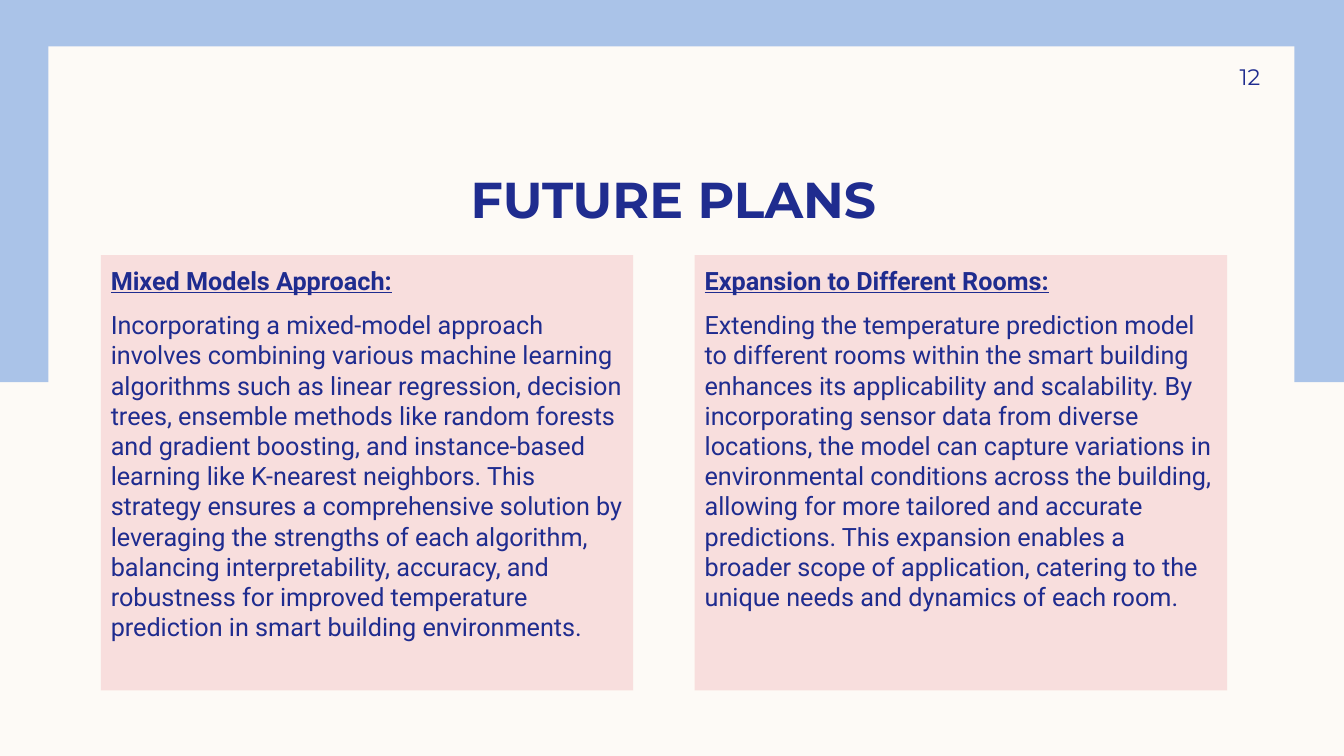
from lxml import etree
from pptx import Presentation
from pptx.dml.color import RGBColor
from pptx.enum.shapes import MSO_SHAPE
from pptx.enum.text import MSO_ANCHOR, PP_ALIGN
from pptx.oxml.ns import qn
from pptx.util import Inches, Pt

# Content
TITLE = "FUTURE PLANS "
PAGE_NUMBER = "12"
PLANS = [
    (
        "Mixed Models Approach:",
        "Incorporating a mixed-model approach involves combining various machine "
        "learning algorithms such as linear regression, decision trees, ensemble "
        "methods like random forests and gradient boosting, and instance-based "
        "learning like K-nearest neighbors. This strategy ensures a comprehensive "
        "solution by leveraging the strengths of each algorithm, balancing "
        "interpretability, accuracy, and robustness for improved temperature "
        "prediction in smart building environments.",
    ),
    (
        "Expansion to Different Rooms:",
        "Extending the temperature prediction model to different rooms within the "
        "smart building enhances its applicability and scalability. By "
        "incorporating sensor data from diverse locations, the model can capture "
        "variations in environmental conditions across the building, allowing for "
        "more tailored and accurate predictions. This expansion enables a broader "
        "scope of application, catering to the unique needs and dynamics of each "
        "room.",
    ),
]

THEME = {
    "paper": RGBColor.from_string("FDFAF6"),
    "band": RGBColor.from_string("AAC3E8"),
    "card": RGBColor.from_string("F5CDCE"),
    "ink": RGBColor.from_string("1F2C8F"),
    "card_opacity": 62,
    "heading_font": "Montserrat",
    "body_font": "Roboto",
    "title_size": Pt(36),
    "number_size": Pt(16),
    "body_size": Pt(18),
    "paragraph_gap": Pt(10),
}

# Layout in inches
SLIDE_WIDTH, SLIDE_HEIGHT = 13.33, 7.5
CARD_LEFT, CARD_TOP = 1, 2.53
CARD_WIDTH, CARD_HEIGHT = 5.28, 4.32
CARD_GAP = 0.61


def add_panel(slide, box, color):
    shape = slide.shapes.add_shape(MSO_SHAPE.RECTANGLE, *map(Inches, box))
    shape.shadow.inherit = False
    shape.fill.solid()
    shape.fill.fore_color.rgb = color
    shape.line.fill.background()
    return shape


def set_frame(shape, insets, anchor):
    frame = shape.text_frame
    frame.word_wrap = True
    frame.vertical_anchor = anchor
    (frame.margin_left, frame.margin_top,
     frame.margin_right, frame.margin_bottom) = map(Inches, insets)
    return frame


def write(paragraph, text, font_name, size, align, bold=False):
    paragraph.text = text
    paragraph.alignment = align
    font = paragraph.font
    font.name, font.size, font.bold = font_name, size, bold
    font.color.rgb = THEME["ink"]


def add_label(slide, box, insets, anchor, text, size, align, bold=False):
    label = slide.shapes.add_textbox(*map(Inches, box))
    frame = set_frame(label, insets, anchor)
    write(frame.paragraphs[0], text, THEME["heading_font"], size, align, bold)


def add_card(slide, left, heading, body):
    card = add_panel(slide, (left, CARD_TOP, CARD_WIDTH, CARD_HEIGHT), THEME["card"])
    color = card.fill._xPr.find(qn("a:solidFill"))[0]
    etree.SubElement(color, qn("a:alpha"), val=str(THEME["card_opacity"] * 1000))
    frame = set_frame(card, (0.1, 0.1, 0.1, 0.1), MSO_ANCHOR.TOP)
    paragraphs = frame.paragraphs[0], frame.add_paragraph()
    for paragraph, text, is_heading in zip(paragraphs, (heading, body), (True, False)):
        write(paragraph, text, THEME["body_font"], THEME["body_size"],
              PP_ALIGN.LEFT, is_heading)
        paragraph.font.underline = is_heading
        paragraph.space_before = THEME["paragraph_gap"]


def main():
    presentation = Presentation()
    presentation.slide_width = Inches(SLIDE_WIDTH)
    presentation.slide_height = Inches(SLIDE_HEIGHT)
    slide = presentation.slides.add_slide(presentation.slide_layouts[6])

    # Background and frame
    slide.background.fill.solid()
    slide.background.fill.fore_color.rgb = THEME["paper"]
    add_panel(slide, (-0.03, 0, 13.36, 3.79), THEME["band"])
    add_panel(slide, (0.48, 0.46, 12.36, 6.59), THEME["paper"])

    # Title and page number
    add_label(slide, (1, 1.16, 11.5, 1.11), (0.1, 0, 0.1, 0), MSO_ANCHOR.BOTTOM,
              TITLE, THEME["title_size"], PP_ALIGN.CENTER, bold=True)
    add_label(slide, (11.33, 0.5, 1.17, 0.52), (0.1, 0.05, 0, 0.05), MSO_ANCHOR.MIDDLE,
              PAGE_NUMBER, THEME["number_size"], PP_ALIGN.RIGHT)

    # Plan cards
    for index, (heading, body) in enumerate(PLANS):
        add_card(slide, CARD_LEFT + index * (CARD_WIDTH + CARD_GAP), heading, body)

    presentation.save("out.pptx")


if __name__ == "__main__":
    main()
